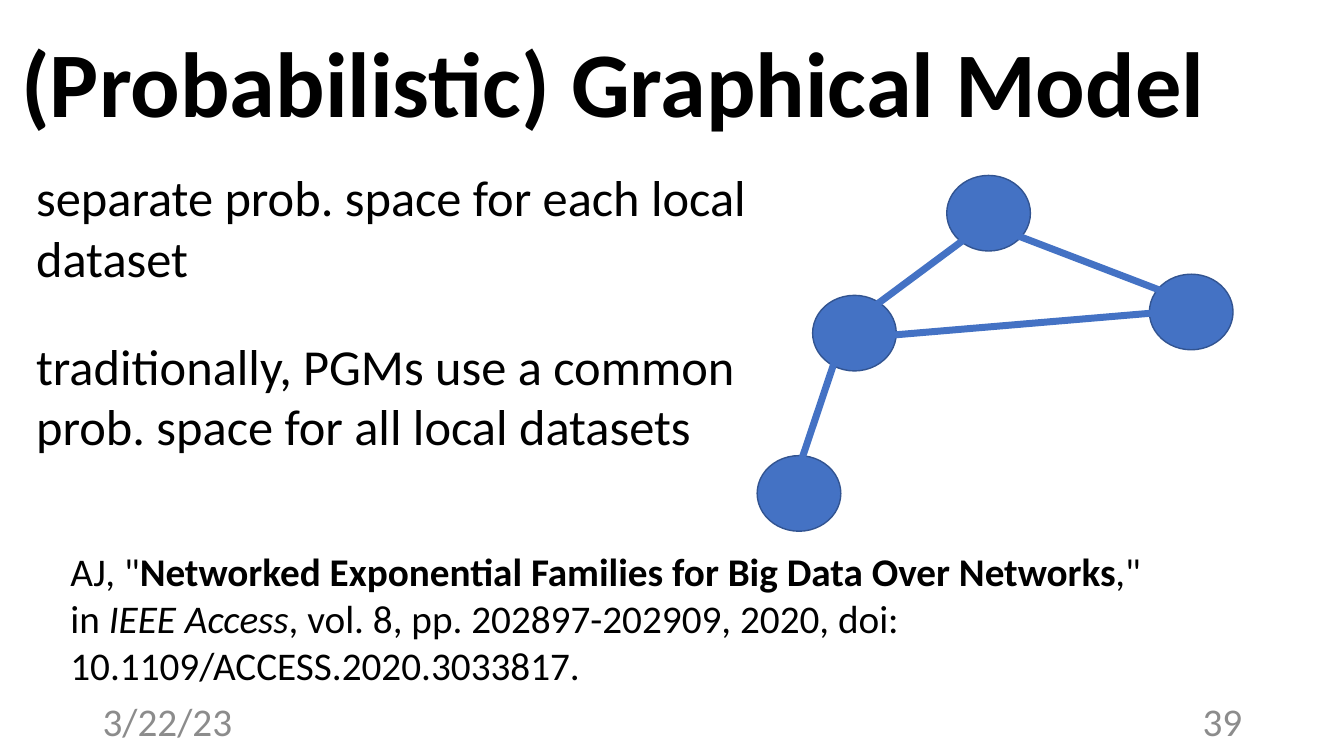
from dataclasses import dataclass

from lxml import etree
from pptx import Presentation
from pptx.dml.color import RGBColor
from pptx.enum.shapes import MSO_CONNECTOR as Connector, MSO_SHAPE as Shape
from pptx.enum.text import MSO_ANCHOR as Anchor, MSO_AUTO_SIZE as AutoSize, PP_ALIGN as Align
from pptx.oxml.ns import qn
from pptx.util import Inches, Pt

# Content: a paragraph is a list of (text, style) runs
TITLE = [[("(Probabilistic) Graphical Model", "bold")]]
CLAIMS = [
    [("separate prob. space for each local dataset", "")],
    [("traditionally, PGMs use a common", "")],
    [("prob. space for all local datasets", "")],
]
CITATION = [[
    ("AJ, \"", ""),
    ("Networked Exponential Families for Big Data Over Networks", "bold"),
    (",\" in ", ""),
    ("IEEE Access", "italic"),
    (", vol. 8, pp. 202897-202909, 2020, doi: 10.1109/ACCESS.2020.3033817.", ""),
]]
DATE = [[("3/22/23", "")]]
PAGE = [[("39", "")]]

# Graph: top left corner of each node, and both ends of each edge
NODES = [(9.39, 1.74), (8.06, 2.93), (7.51, 4.52), (11.4, 2.72)]
NODE_SIZE = (0.83, 0.75)
EDGES = [
    ((9.76, 2.23), (8.44, 3.21)),
    ((7.82, 4.95), (8.4, 3.22)),
    ((11.86, 3.07), (8.43, 3.36)),
    ((9.81, 2.23), (11.82, 3)),
]


@dataclass(frozen=True)
class Theme:
    font: str = "Calibri"
    ink: RGBColor = RGBColor(0, 0, 0)
    muted: RGBColor = RGBColor(0x8C, 0x8C, 0x8C)
    node: RGBColor = RGBColor(0x44, 0x72, 0xC4)
    outline: RGBColor = RGBColor(0x32, 0x54, 0x91)
    title_size: int = 66
    claim_size: int = 36
    small_size: int = 28
    claim_gap: int = 34
    outline_width: int = 1
    edge_width: int = 5


THEME = Theme()


def write(box, paragraphs, size, color=THEME.ink, align=Align.LEFT,
          anchor=Anchor.TOP, wrap=True, fit=AutoSize.SHAPE_TO_FIT_TEXT, gaps=()):
    """Fill a box; gaps holds the indexes of paragraphs set apart from the one above."""
    frame = box.text_frame
    frame.auto_size, frame.word_wrap, frame.vertical_anchor = fit, wrap, anchor
    for index, runs in enumerate(paragraphs):
        paragraph = frame.add_paragraph() if index else frame.paragraphs[0]
        paragraph.alignment = align
        paragraph.space_before = Pt(THEME.claim_gap if index in gaps else 0)
        for text, style in runs:
            run = paragraph.add_run()
            run.text = text
            font = run.font
            font.name, font.size, font.color.rgb = THEME.font, Pt(size), color
            font.bold, font.italic = style == "bold", style == "italic"


def text_box(slide, left, top, width, height):
    return slide.shapes.add_textbox(*map(Inches, (left, top, width, height)))


def add_node(slide, corner):
    node = slide.shapes.add_shape(Shape.OVAL, *map(Inches, corner + NODE_SIZE))
    node.shadow.inherit = False
    node.fill.solid()
    node.fill.fore_color.rgb = THEME.node
    node.line.color.rgb = THEME.outline
    node.line.width = Pt(THEME.outline_width)


def add_edge(slide, start, end):
    edge = slide.shapes.add_connector(Connector.STRAIGHT, *map(Inches, start + end))
    edge.line.color.rgb = THEME.node
    edge.line.width = Pt(THEME.edge_width)
    etree.SubElement(edge._element.spPr, qn("a:effectLst"))


def main():
    deck = Presentation()
    deck.slide_width, deck.slide_height = Inches(13.33), Inches(7.5)
    slide = deck.slides.add_slide(deck.slide_layouts[5])

    # Title
    title = slide.shapes.title
    title.left, title.top = Inches(0.11), Inches(0.2)
    title.width, title.height = Inches(12.07), Inches(1.21)
    write(title, TITLE, THEME.title_size, wrap=False)

    # Graph
    for corner in NODES:
        add_node(slide, corner)
    for start, end in EDGES:
        add_edge(slide, start, end)

    # Claims and citation
    write(text_box(slide, 0.26, 1.6, 8.41, 3), CLAIMS, THEME.claim_size, gaps=(1,))
    write(text_box(slide, 0.6, 5.38, 11.1, 1.51), CITATION, THEME.small_size)

    # Date and page number
    for left, label, align in ((0.92, DATE, Align.LEFT), (9.42, PAGE, Align.RIGHT)):
        write(text_box(slide, left, 6.95, 3, 0.4), label, THEME.small_size,
              color=THEME.muted, align=align, anchor=Anchor.MIDDLE, fit=AutoSize.NONE)

    deck.save("out.pptx")


if __name__ == "__main__":
    main()
